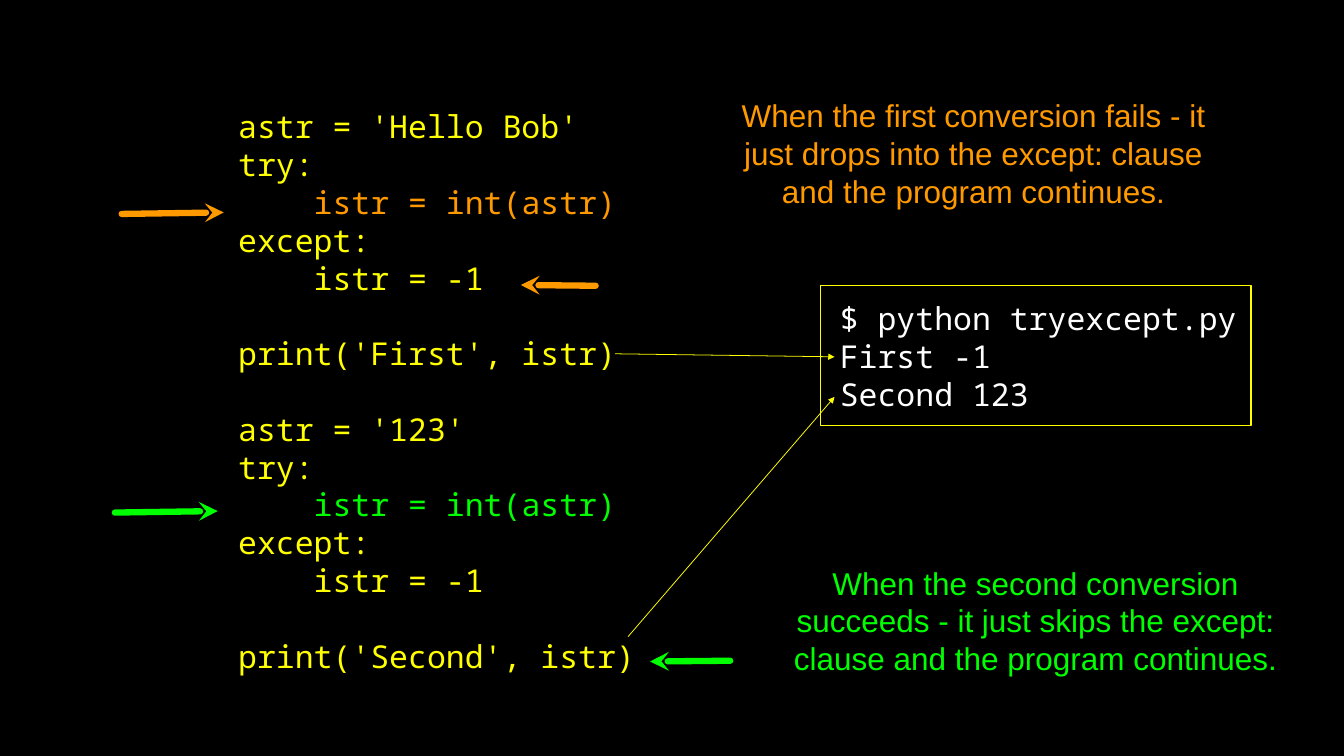
from lxml import etree
from pptx import Presentation
from pptx.dml.color import RGBColor
from pptx.enum.shapes import MSO_CONNECTOR, MSO_SHAPE
from pptx.enum.text import MSO_ANCHOR, PP_ALIGN
from pptx.oxml.ns import qn
from pptx.util import Inches, Pt

LINE = MSO_CONNECTOR.STRAIGHT
RECT = MSO_SHAPE.RECTANGLE
MIDDLE = MSO_ANCHOR.MIDDLE
LEFT, CENTER = PP_ALIGN.LEFT, PP_ALIGN.CENTER

BLACK = RGBColor(0x00, 0x00, 0x00)
WHITE = RGBColor(0xFF, 0xFF, 0xFF)
YELLOW = RGBColor(0xFF, 0xFF, 0x00)
ORANGE = RGBColor(0xFF, 0x99, 0x00)
GREEN = RGBColor(0x00, 0xFF, 0x00)

MONO, SANS = "Noto Sans Mono", "Arial"
PITCH = Pt(36)
INDENT = Inches(1)
FRAME = {"word_wrap": True, "vertical_anchor": MIDDLE, "margin_left": 0,
         "margin_right": 0, "margin_top": 0, "margin_bottom": 0}


def apply(target, values):
    for name, value in values.items():
        setattr(target, name, value)


def fill_text(shape, lines, face, align=LEFT, inset=0):
    frame = shape.text_frame
    apply(frame, {**FRAME, "margin_left": Inches(inset)})
    for i, (text, color, deep, gap) in enumerate(lines):
        para = frame.add_paragraph() if i else frame.paragraphs[0]
        apply(para, {"alignment": align, "line_spacing": PITCH,
                     "space_before": PITCH if gap else 0})
        if deep:
            props = para._p.get_or_add_pPr()
            props.set("marL", str(INDENT))
            props.set("indent", "0")
        run = para.add_run()
        run.text = text
        apply(run.font, {"name": face, "size": Pt(30), "bold": False})
        run.font.color.rgb = color


def add_text(slide, place, lines, face, align=LEFT):
    box = slide.shapes.add_textbox(*map(Inches, place))
    fill_text(box, lines, face, align)


def add_note(slide, place, text, color):
    add_text(slide, place, [(text, color, False, False)], SANS, CENTER)


def add_panel(slide, place, lines):
    panel = slide.shapes.add_shape(RECT, *map(Inches, place))
    panel.shadow.inherit = False
    panel.fill.background()
    panel.line.color.rgb = YELLOW
    panel.line.width = Pt(1)
    fill_text(panel, lines, MONO, inset=0.25)


def add_arrow(slide, ends, color, width, head):
    arrow = slide.shapes.add_connector(LINE, *map(Inches, ends))
    arrow.line.color.rgb = color
    arrow.line.width = Pt(width)
    stroke = arrow.line._get_or_add_ln()
    stroke.set("cap", "rnd")
    etree.SubElement(stroke, qn("a:tailEnd"), type=head)
    etree.SubElement(arrow._element.spPr, qn("a:effectLst"))


def code_block(value, color, label, gap):
    return [(f"astr = '{value}'", YELLOW, False, gap),
            ("try:", YELLOW, False, False),
            ("istr = int(astr)", color, True, False),
            ("except:", YELLOW, False, False),
            ("istr = -1", YELLOW, True, False),
            (f"print('{label}', istr)", YELLOW, False, True)]


def main():
    deck = Presentation()
    apply(deck, {"slide_width": Inches(17.78), "slide_height": Inches(10)})
    slide = deck.slides.add_slide(deck.slide_layouts[6])
    back = slide.background.fill
    back.solid()
    back.fore_color.rgb = BLACK

    code = (code_block("Hello Bob", ORANGE, "First", False)
            + code_block("123", GREEN, "Second", True))
    add_text(slide, (3.15, 1.24, 5.69, 7.86), code, MONO)
    shell = ("$ python tryexcept.py", "First -1", "Second 123")
    add_panel(slide, (10.86, 3.78, 5.69, 1.85),
              [(text, WHITE, False, False) for text in shell])
    add_note(slide, (9.66, 1.24, 6.44, 1.57),
             "When the first conversion fails - it just drops into the "
             "except: clause and the program continues.", ORANGE)
    add_note(slide, (10.48, 7.42, 6.44, 1.57),
             "When the second conversion succeeds - it just skips the "
             "except: clause and the program continues.", GREEN)

    for ends, color in (((1.61, 2.83, 2.96, 2.81), ORANGE),
                        ((7.88, 3.78, 6.89, 3.77), ORANGE),
                        ((1.52, 6.78, 2.88, 6.76), GREEN),
                        ((9.66, 8.74, 8.6, 8.75), GREEN)):
        add_arrow(slide, ends, color, 6, "stealth")
    for ends in ((8.14, 4.68, 11.04, 4.72), (8.31, 8.42, 11.04, 5.25)):
        add_arrow(slide, ends, YELLOW, 0.75, "triangle")
    deck.save("out.pptx")


main()
